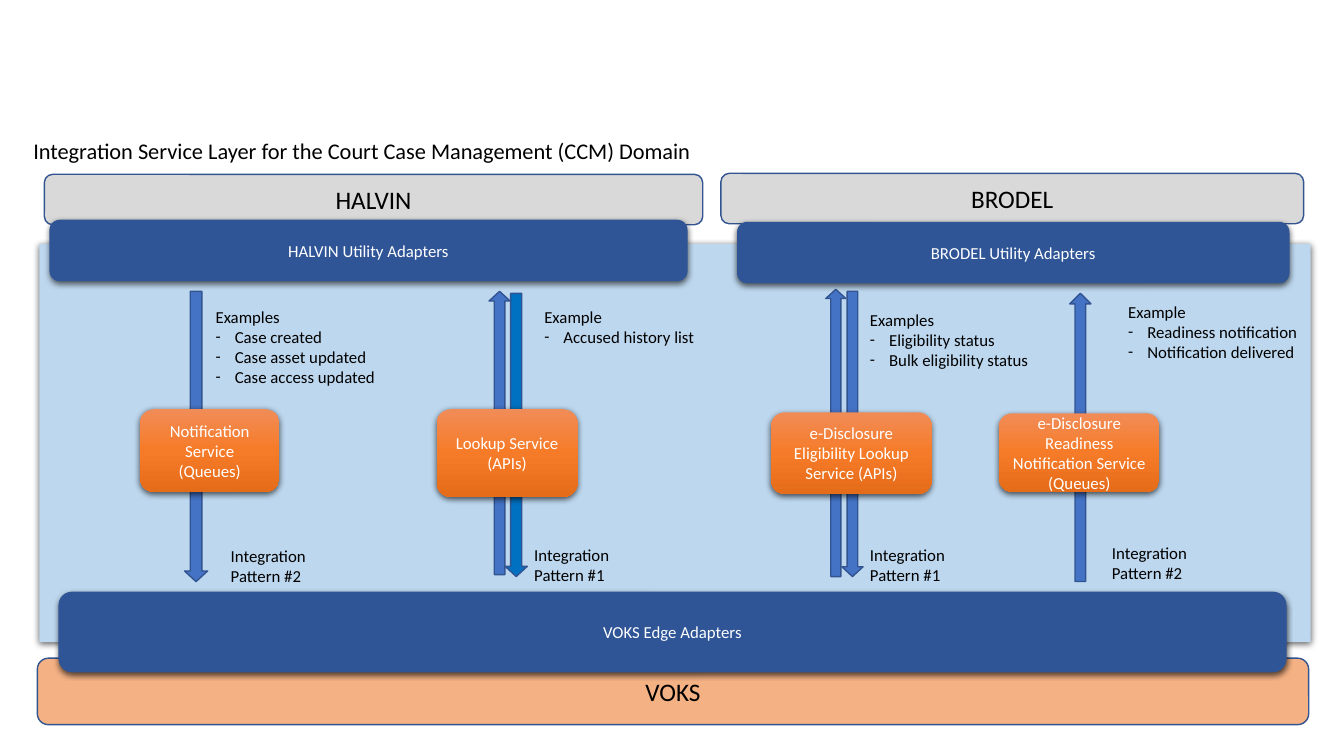
from copy import deepcopy
from dataclasses import dataclass

from lxml import etree
from pptx import Presentation
from pptx.dml.color import RGBColor
from pptx.enum.shapes import MSO_SHAPE
from pptx.enum.text import MSO_ANCHOR, MSO_AUTO_SIZE, PP_ALIGN
from pptx.oxml.ns import qn
from pptx.util import Inches, Pt

RECT, ROUNDED = MSO_SHAPE.RECTANGLE, MSO_SHAPE.ROUNDED_RECTANGLE
UP, DOWN = MSO_SHAPE.UP_ARROW, MSO_SHAPE.DOWN_ARROW
LEFT, CENTER = PP_ALIGN.LEFT, PP_ALIGN.CENTER
TOP, MIDDLE = MSO_ANCHOR.TOP, MSO_ANCHOR.MIDDLE
GROW, FIXED = MSO_AUTO_SIZE.SHAPE_TO_FIT_TEXT, MSO_AUTO_SIZE.NONE


@dataclass(frozen=True)
class Theme:
    font: str = "Calibri"
    heading: int = 16
    system: int = 18
    body: int = 12
    ink: str = "000000"
    light: str = "FFFFFF"
    layer: str = "BDD7EE"
    banner: str = "D9D9D9"
    adapter: str = "2F5597"
    evidence: str = "F4B183"
    arrow: str = "4472C4"
    reply: str = "0070C0"
    outline: str = "325491"
    service: tuple = ("F18C57", "F67B28", "E56C19")


@dataclass(frozen=True)
class Box:
    left: float
    top: float
    width: float
    height: float

    def inside(self, dx, dy, width, height):
        return Box(self.left + dx, self.top + dy, width, height)

    def lengths(self):
        return [Inches(v) for v in (self.left, self.top, self.width, self.height)]


THEME = Theme()


def apply(target, values):
    for name, value in values.items():
        setattr(target, name, value)


def write(frame, lines, size, color, align=LEFT, **frame_format):
    apply(frame, {"word_wrap": True, **frame_format})
    frame.text = "\n".join(lines)
    for paragraph in frame.paragraphs:
        paragraph.alignment = align
        apply(paragraph.runs[0].font, {"name": THEME.font, "size": Pt(size)})
        paragraph.runs[0].font.color.rgb = RGBColor.from_string(color)


def shade(fill, colors):
    fill.gradient()
    fill.gradient_angle = 270
    first = fill.gradient_stops[0]._gs
    first.addnext(deepcopy(first))
    for index, (stop, color) in enumerate(zip(fill.gradient_stops, colors)):
        stop.position = index / (len(colors) - 1)
        stop.color.rgb = RGBColor.from_string(color)


def cast_shadow(shape):
    effects = shape._element.spPr.find(qn("a:effectLst"))
    shadow = etree.SubElement(effects, qn("a:outerShdw"), blurRad=str(Pt(4.5)),
                              dist=str(Pt(1.5)), dir="5400000", rotWithShape="0")
    color = etree.SubElement(shadow, qn("a:srgbClr"), val="000000")
    etree.SubElement(color, qn("a:alpha"), val="63000")


def add_block(slide, kind, box, fill, label=None, size=THEME.body,
              color=THEME.light, outlined=False):
    block = slide.shapes.add_shape(kind, *box.lengths())
    block.shadow.inherit = False
    if isinstance(fill, tuple):
        shade(block.fill, fill)
    else:
        block.fill.solid()
        block.fill.fore_color.rgb = RGBColor.from_string(fill)
    if outlined:
        block.line.color.rgb = RGBColor.from_string(THEME.outline)
        block.line.width = Pt(1)
    else:
        block.line.fill.background()
        cast_shadow(block)
    if label:
        write(block.text_frame, [label], size, color, CENTER, vertical_anchor=MIDDLE)
    return block


def add_note(slide, box, lines, bulleted=False):
    note = slide.shapes.add_textbox(*box.lengths()).text_frame
    write(note, lines, THEME.body, THEME.ink, auto_size=GROW)
    for paragraph in note.paragraphs[1:] if bulleted else ():
        properties = paragraph._p.get_or_add_pPr()
        properties.set("marL", str(Inches(0.19)))
        properties.set("indent", str(-Inches(0.19)))
        etree.SubElement(properties, qn("a:buFont"), typeface=THEME.font)
        etree.SubElement(properties, qn("a:buChar"), char="-")


def add_heading(slide, box, text):
    heading = slide.shapes.title
    apply(heading, dict(zip(("left", "top", "width", "height"), box.lengths())))
    write(heading.text_frame, [text], THEME.heading, THEME.ink, vertical_anchor=TOP,
          margin_left=0, margin_right=0, auto_size=FIXED)


def add_system(slide, box, name, adapter):
    add_block(slide, ROUNDED, box.inside(0, 0, box.width, 0.5), THEME.banner, name,
              THEME.system, THEME.ink, outlined=True)
    add_block(slide, ROUNDED, adapter, THEME.adapter, f"{name} Utility Adapters")


def add_lane(slide, box, service, label, arrows, examples_at, examples, pattern_at, pattern):
    for kind, dx, dy, width, height, head, fill in arrows:
        arrow = add_block(slide, kind, box.inside(dx, dy, width, height), fill, outlined=True)
        arrow.adjustments[1] = head
    service_top, service_height = service
    add_block(slide, ROUNDED, box.inside(0, service_top, box.width, service_height),
              THEME.service, label)
    add_note(slide, box.inside(*examples_at), examples, bulleted=True)
    add_note(slide, box.inside(*pattern_at, 1.22, 0.71), ["Integration", f"Pattern #{pattern}"])


def add_evidence_system(slide, box, name):
    add_block(slide, ROUNDED, box.inside(0, 0.66, box.width, 0.66), THEME.evidence, name,
              THEME.system, THEME.ink, outlined=True)
    add_block(slide, ROUNDED, box.inside(0.21, 0, 12.18, 0.8), THEME.adapter,
              f"{name} Edge Adapters")


LANE_TOP, LANE_HEIGHT = 2.87, 3.0
LANES = [
    (1.39, 1.38, (1.19, 0.82), "Notification Service (Queues)",
     [(DOWN, 0.44, 0.02, 0.23, 2.88, 0.46, THEME.arrow)],
     (0.65, 0.12, 1.86, 1.11),
     ["Examples", "Case created", "Case asset updated", "Case access updated"],
     (0.8, 2.49), 2),
    (4.33, 1.4, (1.19, 0.87), "Lookup Service (APIs)",
     [(DOWN, 0.68, 0.04, 0.22, 2.81, 0.46, THEME.reply),
      (UP, 0.52, 0.02, 0.21, 2.81, 0.46, THEME.arrow)],
     (0.97, 0.12, 1.72, 0.91), ["Example", "Accused history list"],
     (0.87, 2.48), 1),
    (7.65, 1.59, (1.22, 0.81), "e-Disclosure Eligibility Lookup Service (APIs)",
     [(DOWN, 0.7, 0.02, 0.21, 2.83, 0.46, THEME.arrow),
      (UP, 0.54, 0, 0.2, 2.85, 0.46, THEME.arrow)],
     (0.88, 0.15, 1.8, 1.11),
     ["Examples", "Eligibility status", "Bulk eligibility status"],
     (0.88, 2.48), 1),
    (9.91, 1.59, (1.23, 0.78), "e-Disclosure Readiness Notification Service (Queues)",
     [(UP, 0.7, 0.04, 0.21, 2.86, 0.5, THEME.arrow)],
     (1.18, 0.07, 1.91, 0.91),
     ["Example", "Readiness notification", "Notification delivered"],
     (1.02, 2.46), 2),
]

deck = Presentation()
apply(deck, {"slide_width": Inches(13.33), "slide_height": Inches(7.5)})
slide = deck.slides.add_slide(deck.slide_layouts.get_by_name("Title Only"))

add_heading(slide, Box(0.33, 1.31, 12.67, 0.51),
            "Integration Service Layer for the Court Case Management (CCM) Domain")
add_block(slide, RECT, Box(0.39, 2.42, 12.61, 3.95), THEME.layer)
add_system(slide, Box(0.44, 1.73, 6.53, 1.06), "HALVIN", Box(0.49, 2.18, 6.33, 0.61))
add_system(slide, Box(7.15, 1.72, 5.78, 1.09), "BRODEL", Box(7.31, 2.2, 5.48, 0.61))
for lane_left, lane_width, *parts in LANES:
    add_lane(slide, Box(lane_left, LANE_TOP, lane_width, LANE_HEIGHT), *parts)
add_evidence_system(slide, Box(0.37, 5.87, 12.61, 1.32), "VOKS")

deck.save("out.pptx")
